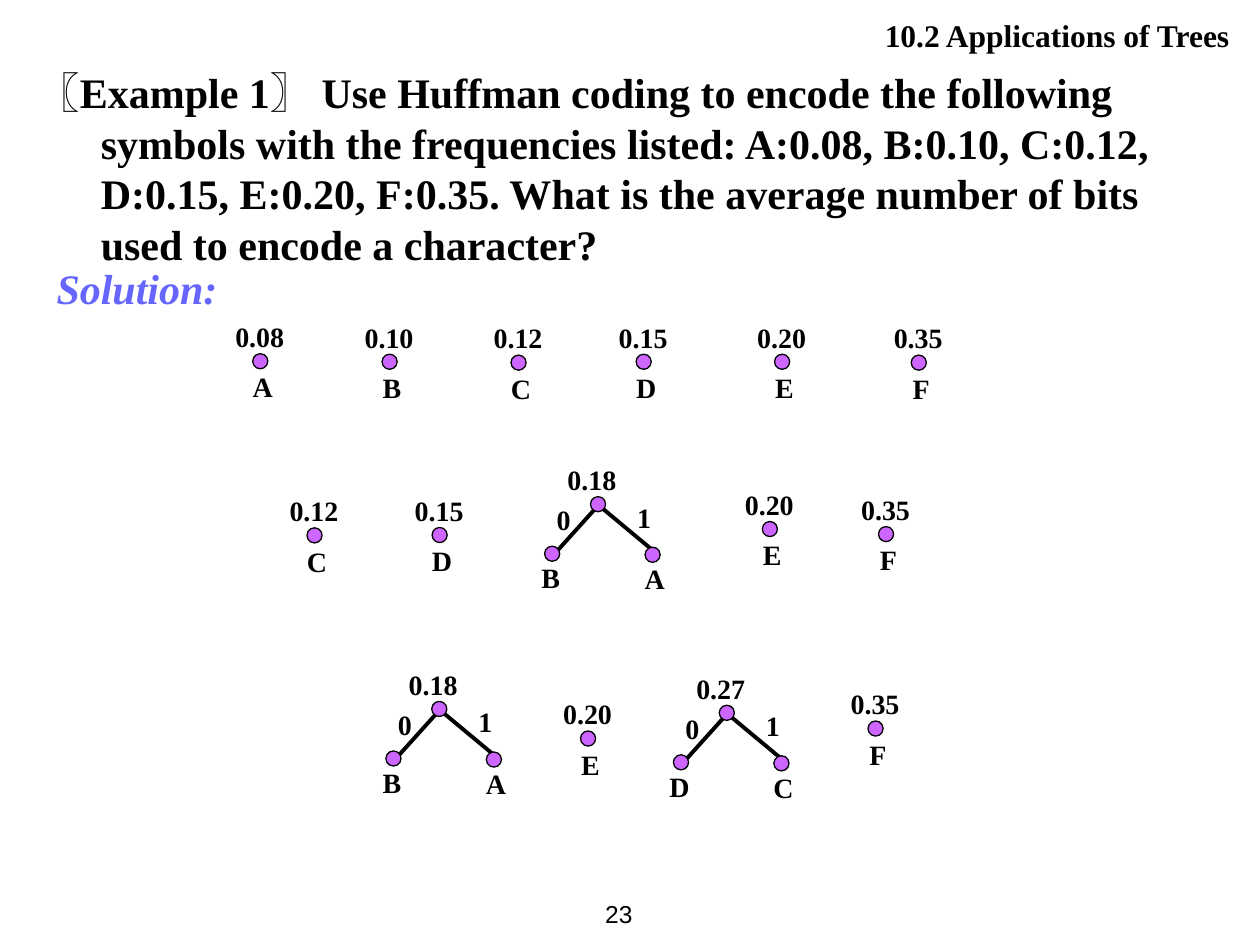
from dataclasses import dataclass

import pptx
import pptx.dml.color
import pptx.enum.shapes
import pptx.enum.text
import pptx.oxml.ns
import pptx.util
from lxml import etree

Pt = pptx.util.Pt
Align = pptx.enum.text.PP_ALIGN
Anchor = pptx.enum.text.MSO_ANCHOR
SERIF = "Times New Roman"
BLACK = "000000"
DOT = 8.64
LABEL_WIDTH = 45.4
LABEL_HEIGHT = 37.4


@dataclass
class Leaf:
    x: float
    y: float
    frequency: str
    symbol: str


@dataclass
class Tree:
    x: float
    y: float
    frequency: str
    left: str
    right: str


LEAVES = [
    Leaf(144.4, 202.1, "0.08", "A"),
    Leaf(218.3, 202.4, "0.10", "B"),
    Leaf(292, 202.9, "0.12", "C"),
    Leaf(363.5, 202.4, "0.15", "D"),
    Leaf(442.6, 202.4, "0.20", "E"),
    Leaf(520.7, 202.9, "0.35", "F"),
    Leaf(175.4, 301.6, "0.12", "C"),
    Leaf(246.9, 301.4, "0.15", "D"),
    Leaf(435.6, 298, "0.20", "E"),
    Leaf(502, 300.9, "0.35", "F"),
    Leaf(331.7, 417.7, "0.20", "E"),
    Leaf(496, 412, "0.35", "F"),
]
TREES = [
    Tree(337.4, 283.8, "0.18", "B", "A"),
    Tree(246.7, 400.8, "0.18", "B", "A"),
    Tree(411, 403, "0.27", "D", "C"),
]


def color(value: str) -> pptx.dml.color.RGBColor:
    return pptx.dml.color.RGBColor.from_string(value)


def place(shape, left: float, top: float, width: float, height: float) -> None:
    shape.left, shape.top = Pt(left), Pt(top)
    shape.width, shape.height = Pt(width), Pt(height)


def write(shape, text: str, size: float, align=Align.LEFT, name: str = SERIF,
          bold: bool = True, italic: bool = False, ink: str = BLACK,
          anchor=Anchor.TOP):
    frame = shape.text_frame
    frame.word_wrap = True
    frame.auto_size = pptx.enum.text.MSO_AUTO_SIZE.NONE
    frame.vertical_anchor = anchor
    para = frame.paragraphs[0]
    para.text = text
    para.alignment = align
    para.space_before = Pt(0)
    font = para.font
    font.name, font.size, font.bold, font.italic = name, Pt(size), bold, italic
    font.color.rgb = color(ink)
    return para


def add_text(slide, left: float, top: float, width: float, height: float,
             text: str, size: float, **style):
    box = slide.shapes.add_textbox(Pt(left), Pt(top), Pt(width), Pt(height))
    return write(box, text, size, **style)


def add_label(slide, left: float, top: float, text: str, align=Align.CENTER) -> None:
    add_text(slide, left, top, LABEL_WIDTH, LABEL_HEIGHT, text, 16, align=align)


def add_dot(slide, x: float, y: float) -> None:
    dot = slide.shapes.add_shape(
        pptx.enum.shapes.MSO_SHAPE.OVAL, Pt(x), Pt(y), Pt(DOT), Pt(DOT))
    dot.shadow.inherit = False
    dot.fill.solid()
    dot.fill.fore_color.rgb = color("CC66FF")
    dot.line.color.rgb = color(BLACK)
    dot.line.width = Pt(0.75)


def add_edge(slide, x1: float, y1: float, x2: float, y2: float) -> None:
    edge = slide.shapes.add_connector(
        pptx.enum.shapes.MSO_CONNECTOR.STRAIGHT, Pt(x1), Pt(y1), Pt(x2), Pt(y2))
    edge.line.color.rgb = color(BLACK)
    edge.line.width = Pt(2.25)
    etree.SubElement(edge._element.spPr, pptx.oxml.ns.qn("a:effectLst"))


def draw_leaf(slide, leaf: Leaf) -> None:
    add_dot(slide, leaf.x, leaf.y)
    add_label(slide, leaf.x - 17, leaf.y - 23, leaf.frequency, Align.LEFT)
    add_label(slide, leaf.x - 17, leaf.y + 5.8, leaf.symbol)


def draw_tree(slide, tree: Tree) -> None:
    x, y = tree.x, tree.y
    add_edge(slide, x + 6, y + 6, x + 36, y + 31)
    add_edge(slide, x + 4, y + 5.5, x - 22.3, y + 34.7)
    add_dot(slide, x, y)
    add_label(slide, x - 20.2, y - 23, tree.frequency, Align.LEFT)
    add_label(slide, x - 38, y, "0")
    add_label(slide, x + 8, y - 1.5, "1")
    add_dot(slide, x - 26.2, y + 28.3)
    add_label(slide, x - 45.4, y + 33.2, tree.left)
    add_dot(slide, x + 31.2, y + 28.9)
    add_label(slide, x + 14, y + 33.8, tree.right)


def main() -> None:
    deck = pptx.Presentation()
    deck.slide_width, deck.slide_height = Pt(720), Pt(540)
    slide = deck.slides.add_slide(deck.slide_layouts[1])

    title = slide.shapes.title
    place(title, 286.6, 5.8, 427.7, 28.8)
    heading = write(title, "10.2 Applications of Trees", 18, align=Align.RIGHT)
    heading.line_spacing = Pt(21.6)
    title.text_frame.margin_right = Pt(11.7)

    body = slide.placeholders[1]
    place(body, 14.4, 34.6, 686.2, 122.4)
    example = write(body, "〖", 24)
    example.runs[0].font.name = "Arial"
    span = example.add_run()
    span.text = (
        "Example 1〗 Use Huffman coding to encode the following symbols with the "
        "frequencies listed: A:0.08, B:0.10, C:0.12, D:0.15, E:0.20, F:0.35. What is "
        "the average number of bits used to encode a character?")
    example.line_spacing = Pt(28.8)
    properties = example._p.get_or_add_pPr()
    properties.set("marL", str(Pt(36)))
    properties.set("indent", str(Pt(-36)))
    bullet = etree.Element(pptx.oxml.ns.qn("a:buNone"))
    properties.find(pptx.oxml.ns.qn("a:defRPr")).addprevious(bullet)

    solution = add_text(slide, 25.2, 146.2, 658, 36, "Solution:", 24,
                        italic=True, ink="6666FF")
    solution.line_spacing = Pt(28.8)

    for leaf in LEAVES:
        draw_leaf(slide, leaf)
    for tree in TREES:
        draw_tree(slide, tree)

    add_text(slide, 320.4, 504, 48.2, 36, "23", 14, align=Align.RIGHT,
             name="Arial", bold=False, anchor=Anchor.MIDDLE)
    deck.save("out.pptx")


if __name__ == "__main__":
    main()
